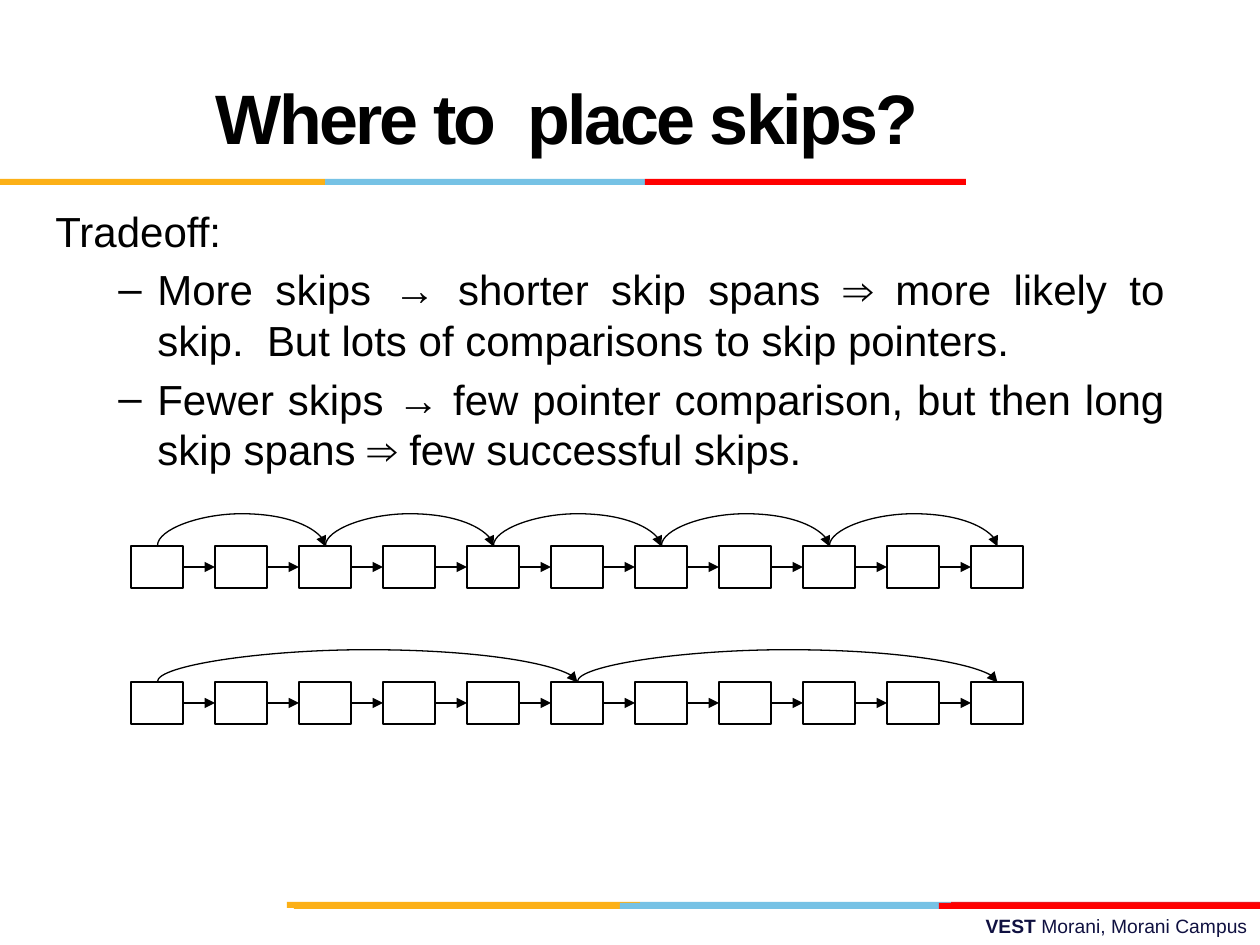
import pptx
import pptx.util
import pptx.dml.color
import pptx.enum.shapes
import pptx.enum.text
from dataclasses import dataclass
from lxml import etree
from pptx.oxml.ns import qn

Pt = pptx.util.Pt
CONNECTOR = pptx.enum.shapes.MSO_CONNECTOR
ALIGN = pptx.enum.text.PP_ALIGN
ANCHOR = pptx.enum.text.MSO_ANCHOR
NO_FIT = pptx.enum.text.MSO_AUTO_SIZE.NONE
EMU_PER_PX = 914400 / 126


@dataclass(frozen=True)
class Theme:
    font: str = "Arial"
    ink: str = "000000"
    navy: str = "101141"
    amber: str = "FCB017"
    sky: str = "76C2E5"
    crimson: str = "E31C24"
    red: str = "FF0000"
    title_pt: int = 40
    body_pt: int = 24
    footer_pt: int = 11
    line_pt: float = 0.75


def px(value):
    return round(value * EMU_PER_PX)


def rgb(value):
    return pptx.dml.color.RGBColor.from_string(value)


def apply(target, values):
    for name, value in values.items():
        setattr(target, name, value)


class SlideBuilder:
    def __init__(self, slide, theme):
        self.slide = slide
        self.theme = theme

    def format_run(self, run, size, color, bold=False):
        apply(run.font, {"name": self.theme.font, "size": Pt(size), "bold": bold})
        run.font.color.rgb = rgb(color)

    def title(self, text, left, top, width, height):
        heading = self.slide.shapes.title
        apply(heading, {"left": px(left), "top": px(top),
                        "width": px(width), "height": px(height)})
        frame = heading.text_frame
        apply(frame, {"text": text, "word_wrap": True, "auto_size": NO_FIT,
                      "vertical_anchor": ANCHOR.MIDDLE})
        frame.paragraphs[0].alignment = ALIGN.CENTER
        run = frame.paragraphs[0].runs[0]
        self.format_run(run, self.theme.title_pt, self.theme.ink, bold=True)
        run.font._element.set("spc", "-150")

    def text_frame(self, left, top, width, height):
        box = self.slide.shapes.add_textbox(px(left), px(top), px(width), px(height))
        box.text_frame.word_wrap = True
        return box.text_frame

    def body_paragraph(self, paragraph, text, margin, hanging, bullet=None):
        apply(paragraph, {"alignment": ALIGN.JUSTIFY, "space_before": Pt(4.8)})
        properties = paragraph._p.get_or_add_pPr()
        properties.set("marL", str(px(margin)))
        properties.set("indent", str(-px(hanging)))
        if bullet:
            etree.SubElement(properties, qn("a:buFont")).set("typeface", self.theme.font)
            etree.SubElement(properties, qn("a:buChar")).set("char", bullet)
        run = paragraph.add_run()
        run.text = text
        self.format_run(run, self.theme.body_pt, self.theme.ink)

    def rectangle(self, left, top, width, height):
        shape = self.slide.shapes.add_shape(
            pptx.enum.shapes.MSO_SHAPE.RECTANGLE,
            px(left), px(top), px(width), px(height))
        shape.shadow.inherit = False
        return shape

    def bar(self, left, top, width, height, color):
        shape = self.rectangle(left, top, width, height)
        shape.fill.solid()
        shape.fill.fore_color.rgb = rgb(color)
        shape.line.fill.background()

    def node(self, left, top, width, height):
        shape = self.rectangle(left, top, width, height)
        shape.fill.background()
        self.format_line(shape.line)
        return shape

    def format_line(self, line):
        line.color.rgb = rgb(self.theme.ink)
        line.width = Pt(self.theme.line_pt)

    def connector(self, kind, *ends):
        link = self.slide.shapes.add_connector(kind, *map(px, ends))
        self.format_line(link.line)
        tail = etree.SubElement(link.line._get_or_add_ln(), qn("a:tailEnd"))
        tail.set("type", "triangle")
        etree.SubElement(link._element.spPr, qn("a:effectLst"))
        return link

    def arrow(self, source, target):
        link = self.connector(CONNECTOR.STRAIGHT, 0, 0, 0, 0)
        link.begin_connect(source, 3)
        link.end_connect(target, 1)

    def skip_arc(self, start, end, top, rise):
        # A one-px-wide upright curve, turned a quarter so that it spans start to end
        middle, half = (start + end) / 2, (end - start) / 2
        link = self.connector(CONNECTOR.CURVE, middle, top - half, middle + 1, top + half)
        properties = link._element.spPr
        frame = properties.find(qn("a:xfrm"))
        frame.set("rot", "5400000")
        frame.set("flipV", "1")
        adjustments = properties.find(qn("a:prstGeom")).find(qn("a:avLst"))
        guide = etree.SubElement(adjustments, qn("a:gd"))
        guide.set("name", "adj1")
        guide.set("fmla", f"val {-rise * 100000}")

    def skip_list(self, top, stride, count=11, left=131, pitch=84, width=52, height=42):
        nodes = [self.node(left + i * pitch, top, width, height) for i in range(count)]
        for source, target in zip(nodes, nodes[1:]):
            self.arrow(source, target)
        first = left + width // 2
        for i in range(0, count - stride, stride):
            start = first + i * pitch
            self.skip_arc(start, start + stride * pitch, top, rise=32)


def main():
    theme = Theme()
    deck = pptx.Presentation()
    deck.slide_width, deck.slide_height = px(1260), px(945)
    builder = SlideBuilder(deck.slides.add_slide(deck.slide_layouts[5]), theme)

    # Footer
    footer = builder.text_frame(451, 908, 809, 37).paragraphs[0]
    footer.alignment = ALIGN.RIGHT
    for text, bold in (("VEST ", True), ("Morani, Morani Campus", False)):
        run = footer.add_run()
        run.text = text
        builder.format_run(run, theme.footer_pt, theme.navy, bold)

    # Three-colour bands: top, bar edges, colours
    for top, edges, colors in (
        (902, (287, 640, 951, 1260), (theme.amber, theme.sky, theme.crimson)),
        (903, (294, 620, 939, 1260), (theme.amber, theme.sky, theme.red)),
        (179, (0, 325, 645, 966), (theme.amber, theme.sky, theme.red)),
    ):
        for left, right, color in zip(edges, edges[1:], colors):
            builder.bar(left, top, right - left, 6, color)

    # Title and tradeoff text
    builder.title("Where to  place skips?", 0, 38, 1134, 157)
    tradeoff = builder.text_frame(43, 199, 1134, 280)
    builder.body_paragraph(tradeoff.paragraphs[0], "Tradeoff:", 48, 48)
    for point in (
        "More skips → shorter skip spans ⇒ more likely to skip.  "
        "But lots of comparisons to skip pointers.",
        "Fewer skips → few pointer comparison, but then long skip spans "
        "⇒ few successful skips.",
    ):
        builder.body_paragraph(tradeoff.add_paragraph(), point, 102, 39, "–")

    # Skip lists: many short skips, then few long ones
    builder.skip_list(546, stride=2)
    builder.skip_list(682, stride=5)

    deck.save("out.pptx")


if __name__ == "__main__":
    main()
